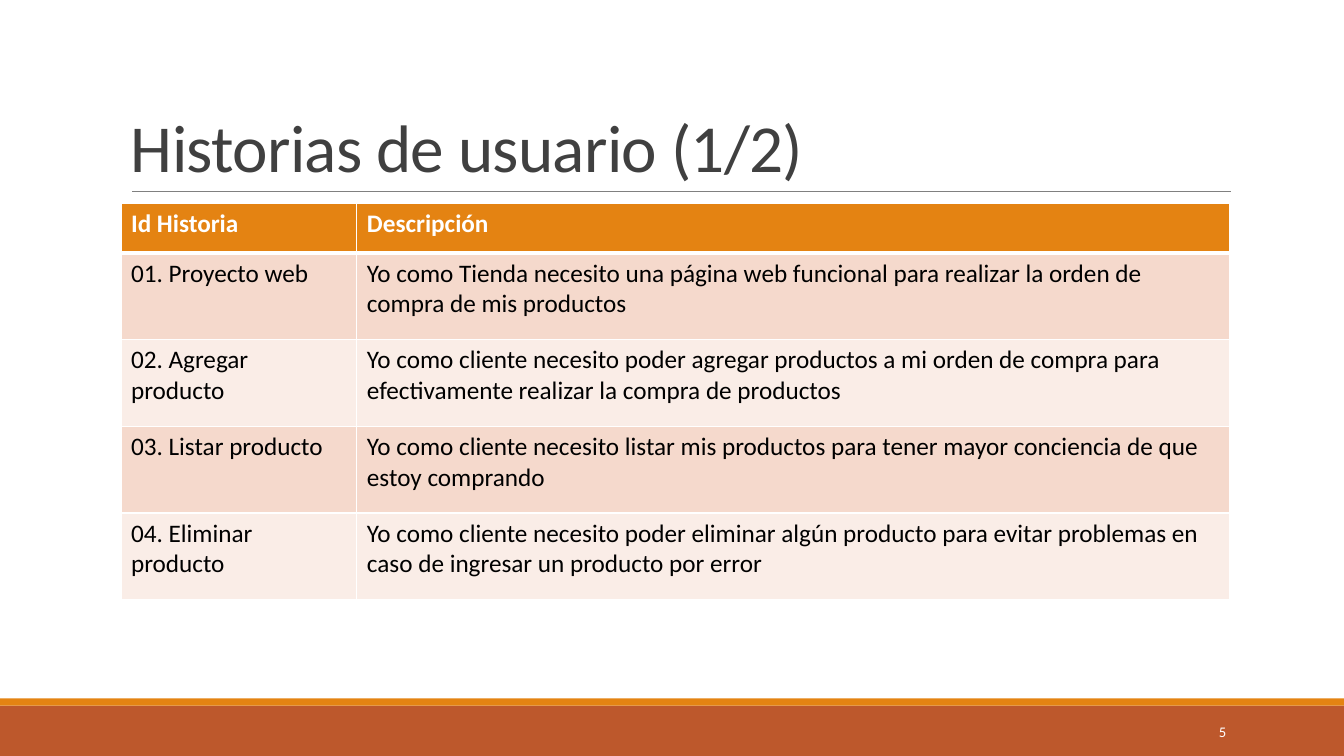
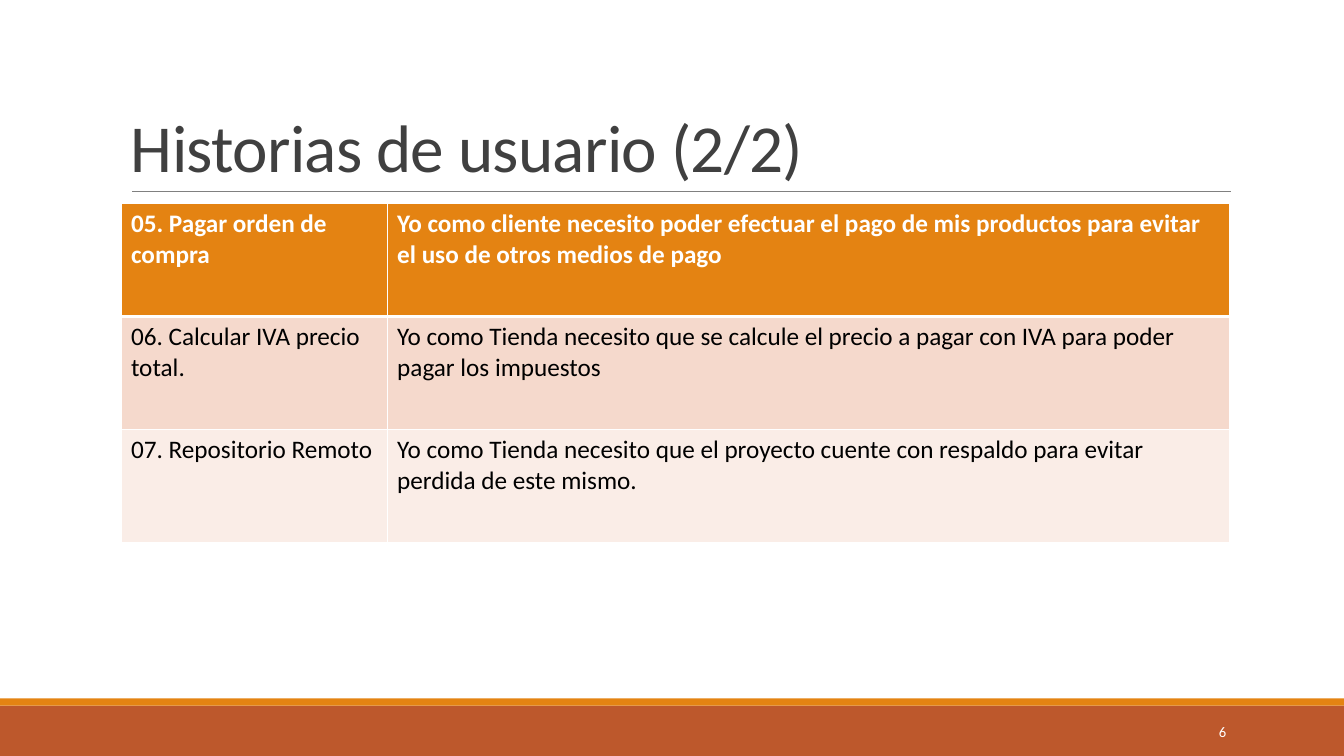
"""Build two slides of user stories, each with a table under a shared title style."""
from lxml import etree
from pptx import Presentation
from pptx.dml.color import RGBColor
from pptx.enum import shapes, text
from pptx.oxml.ns import qn
from pptx.util import Inches, Pt

FONT = "Calibri"
WHITE, BLACK, ORANGE, RUST = "FFFFFF", "000000", "E48312", "BD582C"
TITLE_COLOR, RULE_COLOR = "404040", "808080"
STRIPES = ("F5D9CC", "FAEDE7")
LEFT, WIDTH, TABLE_TOP = 1.2, 11, 2.02
BANDS = [(7, 0.5, RUST), (6.93, 0.07, ORANGE)]
TITLE = {"size": Pt(48), "color": TITLE_COLOR}
NUMBER = {"size": Pt(10.5), "color": WHITE}
HEADER = {"size": Pt(18), "color": WHITE, "bold": True}
BODY = {"size": Pt(18), "color": BLACK, "bold": False}

SLIDES = [
    {
        "title": "Historias de usuario (1/2)",
        "number": "5",
        "first_col": 2.34,
        "heights": [0.49] + [0.86] * 4,
        "rows": [
            ("Id Historia", "Descripción"),
            ("01. Proyecto web",
             "Yo como Tienda necesito una página web funcional para realizar "
             "la orden de compra de mis productos"),
            ("02. Agregar producto",
             "Yo como cliente necesito poder agregar productos a mi orden de "
             "compra para efectivamente realizar la compra de productos"),
            ("03. Listar producto",
             "Yo como cliente necesito listar mis productos para tener mayor "
             "conciencia de que estoy comprando"),
            ("04. Eliminar producto",
             "Yo como cliente necesito poder eliminar algún producto para "
             "evitar problemas en caso de ingresar un producto por error"),
        ],
    },
    {
        "title": "Historias de usuario (2/2)",
        "number": "6",
        "first_col": 2.64,
        "heights": [1.12] * 3,
        "rows": [
            ("05. Pagar orden de compra",
             "Yo como cliente necesito poder efectuar el pago de mis "
             "productos para evitar el uso de otros medios de pago"),
            ("06. Calcular IVA precio total.",
             "Yo como Tienda necesito que se calcule el precio a pagar con "
             "IVA para poder pagar los impuestos"),
            ("07. Repositorio Remoto",
             "Yo como Tienda necesito que el proyecto cuente con respaldo "
             "para evitar perdida de este mismo."),
        ],
    },
]


def rgb(value):
    return RGBColor.from_string(value)


def write(tf, content, fmt):
    p = tf.paragraphs[0]
    r = p.add_run()
    r.text = content
    r.font.name = FONT
    for name, value in fmt.items():
        if name == "color":
            r.font.color.rgb = rgb(value)
        else:
            setattr(r.font, name, value)
    return p, r


def add_text(s, box, content, fmt, anchor):
    tf = s.shapes.add_textbox(*map(Inches, box)).text_frame
    tf.word_wrap = True
    tf.vertical_anchor = anchor
    return write(tf, content, fmt)


def add_frame(s, title, number):
    for top, height, color in BANDS:
        sp = s.shapes.add_shape(shapes.MSO_SHAPE.RECTANGLE, 0, Inches(top),
                                Inches(13.33), Inches(height))
        sp.shadow.inherit = False
        sp.fill.solid()
        sp.fill.fore_color.rgb = rgb(color)
        sp.line.fill.background()
    rule = s.shapes.add_connector(shapes.MSO_CONNECTOR.STRAIGHT, Inches(1.31),
                                  Inches(1.9), Inches(12.21), Inches(1.9))
    rule.line.color.rgb = rgb(RULE_COLOR)
    rule.line.width = Pt(0.5)
    etree.SubElement(rule._element.spPr, qn("a:effectLst"))
    p, r = add_text(s, (LEFT, 0.31, WIDTH, 1.59), title, TITLE,
                    text.MSO_ANCHOR.BOTTOM)
    p.line_spacing = 0.85
    r._r.get_or_add_rPr().set("spc", "-50")
    p, r = add_text(s, (10.83, 7.06, 1.43, 0.4), number, NUMBER,
                    text.MSO_ANCHOR.MIDDLE)
    p.alignment = text.PP_ALIGN.RIGHT


def set_borders(cell, widths):
    tcPr = cell._tc.get_or_add_tcPr()
    for side, width in widths.items():
        ln = etree.SubElement(tcPr, qn(f"a:ln{side}"), w=str(Pt(width)))
        fill = etree.SubElement(ln, qn("a:solidFill"))
        etree.SubElement(fill, qn("a:srgbClr"), val=WHITE)


def add_stories(s, rows, first_col, heights):
    table = s.shapes.add_table(len(rows), 2, Inches(LEFT), Inches(TABLE_TOP),
                               Inches(WIDTH), Inches(sum(heights))).table
    for col, width in zip(table.columns, (first_col, WIDTH - first_col)):
        col.width = Inches(width)
    for i, (row, height) in enumerate(zip(rows, heights)):
        table.rows[i].height = Inches(height)
        for j, content in enumerate(row):
            cell = table.cell(i, j)
            set_borders(cell, {"L": 1, "R": 1, "T": 3 if i == 1 else 1,
                               "B": 3 if i == 0 else 1})
            cell.fill.solid()
            cell.fill.fore_color.rgb = rgb(STRIPES[(i - 1) % 2] if i else ORANGE)
            write(cell.text_frame, content, BODY if i else HEADER)


def main():
    prs = Presentation()
    prs.slide_width, prs.slide_height = Inches(13.33), Inches(7.5)
    for data in SLIDES:
        s = prs.slides.add_slide(prs.slide_layouts[6])
        add_frame(s, data["title"], data["number"])
        add_stories(s, data["rows"], data["first_col"], data["heights"])
    prs.save("out.pptx")


if __name__ == "__main__":
    main()
